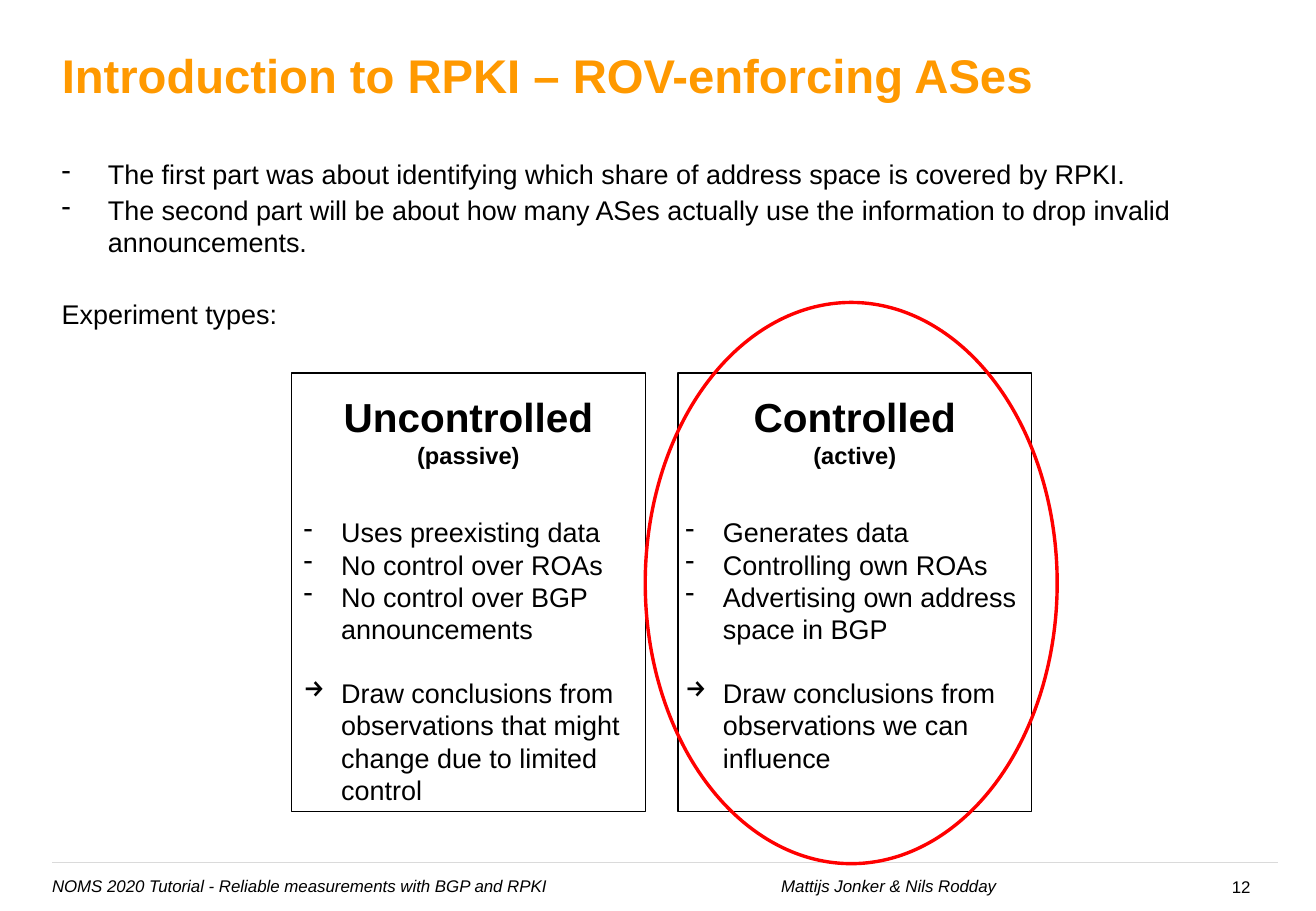
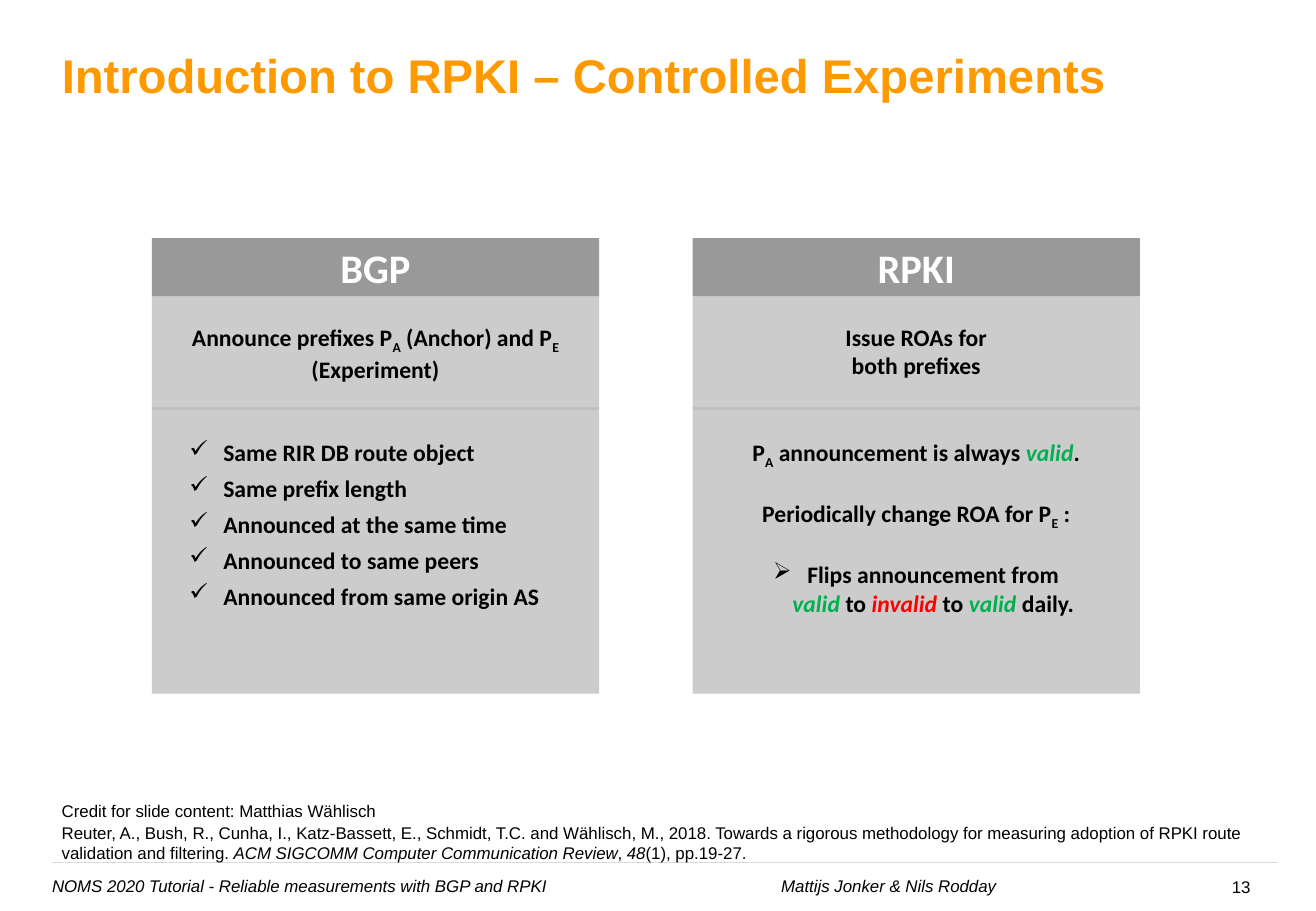
from dataclasses import dataclass
from functools import partial
from lxml.etree import SubElement
from pptx import Presentation
from pptx.dml.color import RGBColor
from pptx.enum.shapes import MSO_CONNECTOR, MSO_SHAPE
from pptx.enum.text import MSO_ANCHOR, PP_ALIGN
from pptx.oxml.ns import qn
from pptx.util import Pt

PX = 9144  # 100 px to the inch
BLACK, WHITE, ORANGE = "000000", "FFFFFF", "FF9900"
RED, GREEN = "FF0000", "00B050"
RULE, PANEL, HEAD, SPLIT = "DADADA", "CCCCCC", "999999", "BFBFBF"
LEFT, MID = PP_ALIGN.LEFT, PP_ALIGN.CENTER

SUB = {"sub": True}
SLANT = {"slant": True}
GOOD = {"color": GREEN, "slant": True}
BAD = {"color": RED, "slant": True}


def rgb(code):
    return RGBColor.from_string(code)


@dataclass
class Para:
    """A paragraph; runs is a string or a list of strings, (text, style) pairs and "\n"."""
    runs: object
    size: int = 16
    bold: bool = False
    color: str = BLACK
    align: int = LEFT
    mark: str = ""
    hang: int = 0
    before: float = 0
    after: float = 0


class Deck:
    def __init__(self, wide, high):
        self.prs = Presentation()
        self.prs.slide_width, self.prs.slide_height = wide * PX, high * PX
        self.page = None

    def slide(self, title, number):
        self.page = self.prs.slides.add_slide(self.prs.slide_layouts[6]).shapes
        self.line(43, 1052, 710, RULE, 1)
        note = partial(Para, size=10)
        event = "NOMS 2020 Tutorial - Reliable measurements with BGP and RPKI"
        self.text((33, 716, 460, 27), [note([(event, SLANT)])])
        self.text((633, 716, 205, 27), [note([("Mattijs Jonker & Nils Rodday", SLANT)])])
        self.text((976, 717, 91, 27), [note(str(number), align=MID)])
        self.text((41, 24, 1042, 75), [Para(title, 28, True, ORANGE)],
                  anchor=MSO_ANCHOR.MIDDLE)

    def line(self, left, right, y, color, width):
        rule = self.page.add_connector(MSO_CONNECTOR.STRAIGHT,
                                       left * PX, y * PX, right * PX, y * PX)
        rule.line.color.rgb = rgb(color)
        rule.line.width = Pt(width)
        SubElement(rule._element.spPr, qn("a:effectLst"))

    def shape(self, kind, box, fill=None, edge=None, width=0.75):
        item = self.page.add_shape(kind, *(n * PX for n in box))
        item.shadow.inherit = False
        if fill:
            item.fill.solid()
            item.fill.fore_color.rgb = rgb(fill)
        else:
            item.fill.background()
        if edge:
            item.line.color.rgb = rgb(edge)
            item.line.width = Pt(width)
        else:
            item.line.fill.background()
        return item

    def text(self, box, paras, **style):
        item = self.page.add_textbox(*(n * PX for n in box))
        self.label(item, paras, **style)

    def label(self, item, paras, font="Arial", anchor=MSO_ANCHOR.TOP, side=10, top=5):
        frame = item.text_frame
        frame.word_wrap = True
        frame.vertical_anchor = anchor
        frame.margin_left = frame.margin_right = side * PX
        frame.margin_top = frame.margin_bottom = top * PX
        for i, para in enumerate(paras):
            line = frame.add_paragraph() if i else frame.paragraphs[0]
            self.fill(line, para, font)

    def fill(self, line, para, font):
        line.alignment = para.align
        line.space_before, line.space_after = Pt(para.before), Pt(para.after)
        if para.mark:
            props = line._p.get_or_add_pPr()
            props.set("marL", str(para.hang * PX))
            props.set("indent", str(-para.hang * PX))
            SubElement(props, qn("a:buChar")).set("char", para.mark)
        for part in [para.runs] if isinstance(para.runs, str) else para.runs:
            if part == "\n":
                line.add_line_break()
                continue
            words, style = (part, {}) if isinstance(part, str) else part
            run = line.add_run()
            run.text = words
            run.font.name, run.font.size = font, Pt(para.size)
            run.font.bold = para.bold
            run.font.italic = style.get("slant", False)
            run.font.color.rgb = rgb(style.get("color", para.color))
            if "sub" in style:
                run._r.get_or_add_rPr().set("baseline", "-25000")

    def card(self, x, side, name, kind, points, result):
        """A framed experiment type with its traits and what follows from them."""
        frame = self.shape(MSO_SHAPE.RECTANGLE, (x, 307, 291, 361), WHITE, BLACK)
        item = partial(Para, mark="-", hang=31)
        first, *rest = points
        self.label(frame, [
            Para(name, 24, True, align=MID),
            Para(kind, 14, True, align=MID),
            item(first, before=27.5),
            *map(item, rest),
            item(result, mark="→", before=18.5),
        ], side=side, top=16)

    def panel(self, x, name, task, shift, steps):
        """A grey column: header, task and steps."""
        wide = 368
        self.shape(MSO_SHAPE.RECTANGLE, (x, 244, wide, 327), PANEL)
        head = self.shape(MSO_SHAPE.RECTANGLE, (x, 196, wide, 48), HEAD)
        self.label(head, [Para(name, 24, True, WHITE, MID)], "Calibri", MSO_ANCHOR.MIDDLE)
        self.line(x, x + wide, 336, SPLIT, 1.75)
        self.text((x, 261, wide, 57), task, font="Calibri")
        self.text((x + shift, 356, wide - shift, 156), steps, font="Calibri")


def types(deck):
    deck.slide("Introduction to RPKI – ROV-enforcing ASes", 12)
    item = partial(Para, mark="-", hang=38, before=2)
    deck.text((41, 125, 1007, 160), [
        item("The first part was about identifying which share of address space "
             "is covered by RPKI."),
        item("The second part will be about how many ASes actually use the "
             "information to drop invalid announcements."),
        Para("Experiment types:", before=23),
    ])
    deck.card(240, 10, "Uncontrolled", "(passive)",
              ["Uses preexisting data", "No control over ROAs",
               "No control over BGP announcements"],
              "Draw conclusions from observations that might change due to limited control")
    deck.card(558, 6, "Controlled", "(active)",
              ["Generates data", "Controlling own ROAs",
               "Advertising own address space in BGP"],
              "Draw conclusions from observations we can influence")
    deck.shape(MSO_SHAPE.OVAL, (531, 249, 339, 462), edge=RED, width=2)


def tests(deck):
    deck.slide("Introduction to RPKI – Controlled Experiments", 13)
    bold = partial(Para, size=14, bold=True)
    mid = partial(bold, align=MID)
    check = partial(bold, mark="✓", hang=28, after=4.5)
    deck.panel(125, "BGP",
               [mid(["Announce prefixes P", ("A", SUB), " (Anchor) and P", ("E", SUB),
                     " (Experiment)"])],
               21,
               [check(words) for words in (
                   "Same RIR DB route object", "Same prefix length",
                   "Announced at the same time", "Announced to same peers",
                   "Announced from same origin AS")])
    deck.panel(570, "RPKI",
               [mid("Issue ROAs for"), mid("both prefixes")],
               0,
               [mid(["P", ("A", SUB), " announcement is always ", ("valid", GOOD), "."]),
                mid(["Periodically change ROA for P", ("E", SUB), " :"], before=17),
                mid(["Flips announcement from", "\n", ("valid ", GOOD), "to ",
                     ("invalid ", BAD), "to ", ("valid ", GOOD), "daily."],
                    mark="➢", hang=28, before=17)])
    cite = partial(Para, size=10, before=1)
    deck.text((41, 654, 1007, 57), [
        cite("Credit for slide content: Matthias Wählisch"),
        cite(["Reuter, A., Bush, R., Cunha, I., Katz-Bassett, E., Schmidt, T.C. and "
              "Wählisch, M., 2018. Towards a rigorous methodology for measuring "
              "adoption of RPKI route validation and filtering. ",
              ("ACM SIGCOMM Computer Communication Review", SLANT), ", ",
              ("48", SLANT), "(1), pp.19-27."]),
    ])


def main():
    deck = Deck(1083, 750)
    types(deck)
    tests(deck)
    deck.prs.save("out.pptx")


if __name__ == "__main__":
    main()
